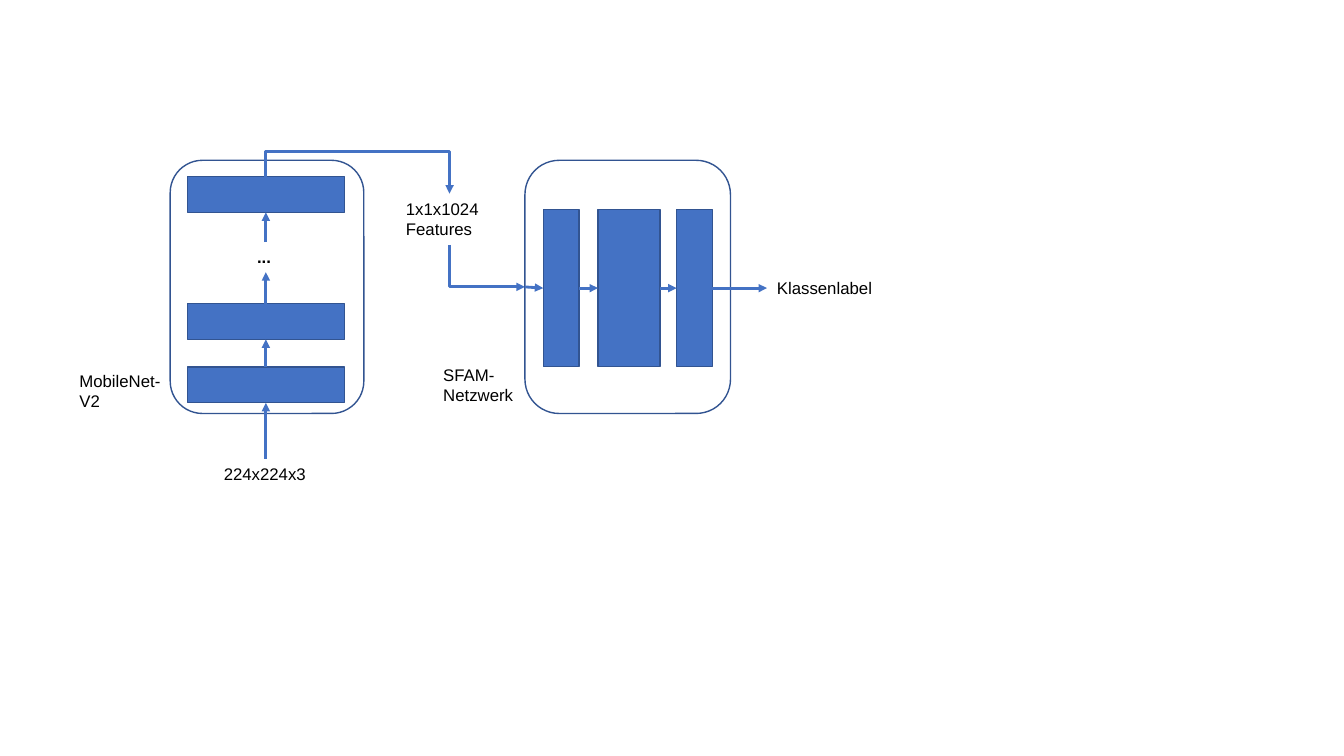
from itertools import pairwise

from pptx import Presentation
from pptx.dml.color import RGBColor
from pptx.enum.shapes import MSO_CONNECTOR, MSO_SHAPE
from pptx.enum.text import MSO_AUTO_SIZE
from pptx.oxml.ns import qn
from pptx.util import Cm, Pt
from lxml.etree import SubElement

COLORS = {"fill": "4472C4", "edge": "325491", "text": "000000"}
TOP, LEFT, BOTTOM, RIGHT = range(4)


class Board:
    font = {"name": "Arial", "size": Pt(12), "bold": False}

    def __init__(self, slide):
        self.shapes = slide.shapes

    def color(self, name):
        return RGBColor.from_string(COLORS[name])

    def box(self, kind, x, y, w, h):
        shape = self.shapes.add_shape(kind, Cm(x), Cm(y), Cm(w), Cm(h))
        shape.shadow.inherit = False
        shape.line.color.rgb = self.color("edge")
        shape.line.width = Pt(1)
        return shape

    def frame(self, *area):
        shape = self.box(MSO_SHAPE.ROUNDED_RECTANGLE, *area)
        shape.fill.background()
        return shape

    def block(self, *area):
        shape = self.box(MSO_SHAPE.RECTANGLE, *area)
        shape.fill.solid()
        shape.fill.fore_color.rgb = self.color("fill")
        return shape

    def label(self, text, x, y, w, h, **style):
        shape = self.shapes.add_textbox(Cm(x), Cm(y), Cm(w), Cm(h))
        frame = shape.text_frame
        frame.word_wrap = True
        frame.auto_size = MSO_AUTO_SIZE.SHAPE_TO_FIT_TEXT
        frame.text = text
        for run in frame.paragraphs[0].runs:
            for key, value in (self.font | style).items():
                setattr(run.font, key, value)
            run.font.color.rgb = self.color("text")
        return shape

    def line(self, kind, x1, y1, x2, y2):
        link = self.shapes.add_connector(kind, Cm(x1), Cm(y1), Cm(x2), Cm(y2))
        link.line.color.rgb = self.color("fill")
        link.line.width = Pt(2)
        SubElement(link.line._get_or_add_ln(), qn("a:tailEnd"), type="triangle")
        SubElement(link._element.spPr, qn("a:effectLst"))
        return link

    def join(self, start, out, end, into):
        link = self.line(MSO_CONNECTOR.STRAIGHT, 0, 0, 1, 1)
        link.begin_connect(start, out)
        link.end_connect(end, into)

    def bend(self, x1, y1, x2, y2, form, turn=None):
        """Elbow that leaves vertically: a flipped connector turned by 270 degrees."""
        x, y = (x1 + x2) / 2, (y1 + y2) / 2
        w, h = (y2 - y1) / 2, (x2 - x1) / 2
        link = self.line(MSO_CONNECTOR.ELBOW, x + w, y - h, x - w, y + h)
        props = link._element.spPr
        props.find(qn("a:xfrm")).set("rot", str(270 * 60000))
        shape = props.find(qn("a:prstGeom"))
        shape.set("prst", form)
        if turn is not None:
            SubElement(shape.find(qn("a:avLst")), qn("a:gd"),
                       name="adj1", fmla=f"val {round(turn * 100000)}")


def main():
    deck = Presentation()
    deck.slide_width, deck.slide_height = Cm(33.87), Cm(19.05)
    board = Board(deck.slides.add_slide(deck.slide_layouts[6]))

    # Feature extractor, read from bottom to top
    board.frame(4.29, 4.04, 4.88, 6.38)
    first, second, last = [board.block(4.72, y, 3.96, 0.9) for y in (9.25, 7.65, 4.45)]
    source = board.label("224x224x3", 5.39, 11.56, 2.62, 0.76)
    dots = board.label("...", 6.23, 6.1, 0.94, 0.76, bold=True)
    for low, high in pairwise((source, first, second, dots, last)):
        board.join(low, TOP, high, BOTTOM)
    board.label("MobileNet-V2", 1.75, 9.22, 2.6, 1.28)

    # Features passed between the networks
    board.label("1x1x1024\vFeatures", 9.98, 4.88, 2.51, 1.28)
    board.bend(6.7, 4.45, 11.33, 4.88, "bentConnector3", -1.45)
    board.bend(11.33, 6.17, 13.23, 7.23, "bentConnector2")

    # Classifier, read from left to right
    net = board.frame(13.23, 4.04, 5.18, 6.38)
    layers = [board.block(x, 5.28, w, 3.96)
              for x, w in ((13.69, 0.9), (15.07, 1.56), (17.05, 0.9))]
    result = board.label("Klassenlabel", 19.33, 6.88, 3.07, 0.76)
    board.join(net, LEFT, layers[0], LEFT)
    for left, right in pairwise([*layers, result]):
        board.join(left, RIGHT, right, LEFT)
    board.label("SFAM-Netzwerk", 10.92, 9.07, 2.51, 1.28)

    deck.save("out.pptx")


if __name__ == "__main__":
    main()
